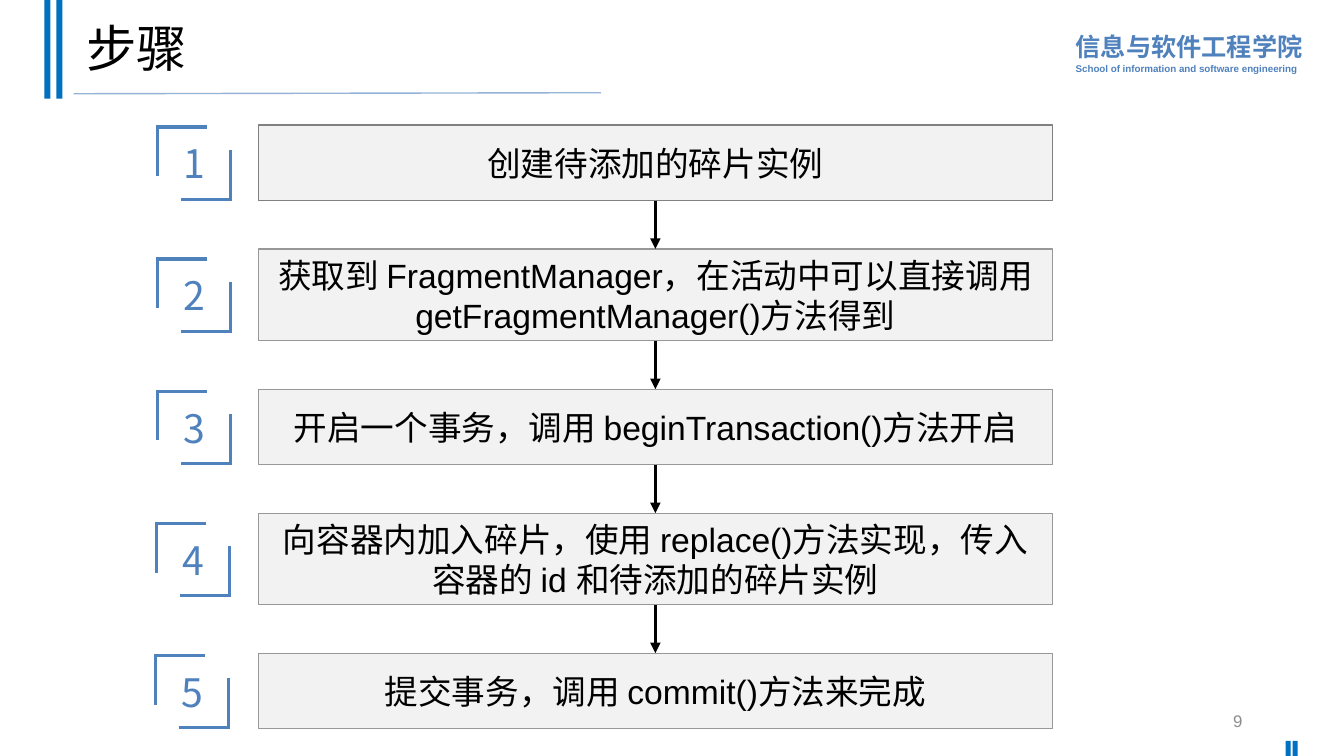
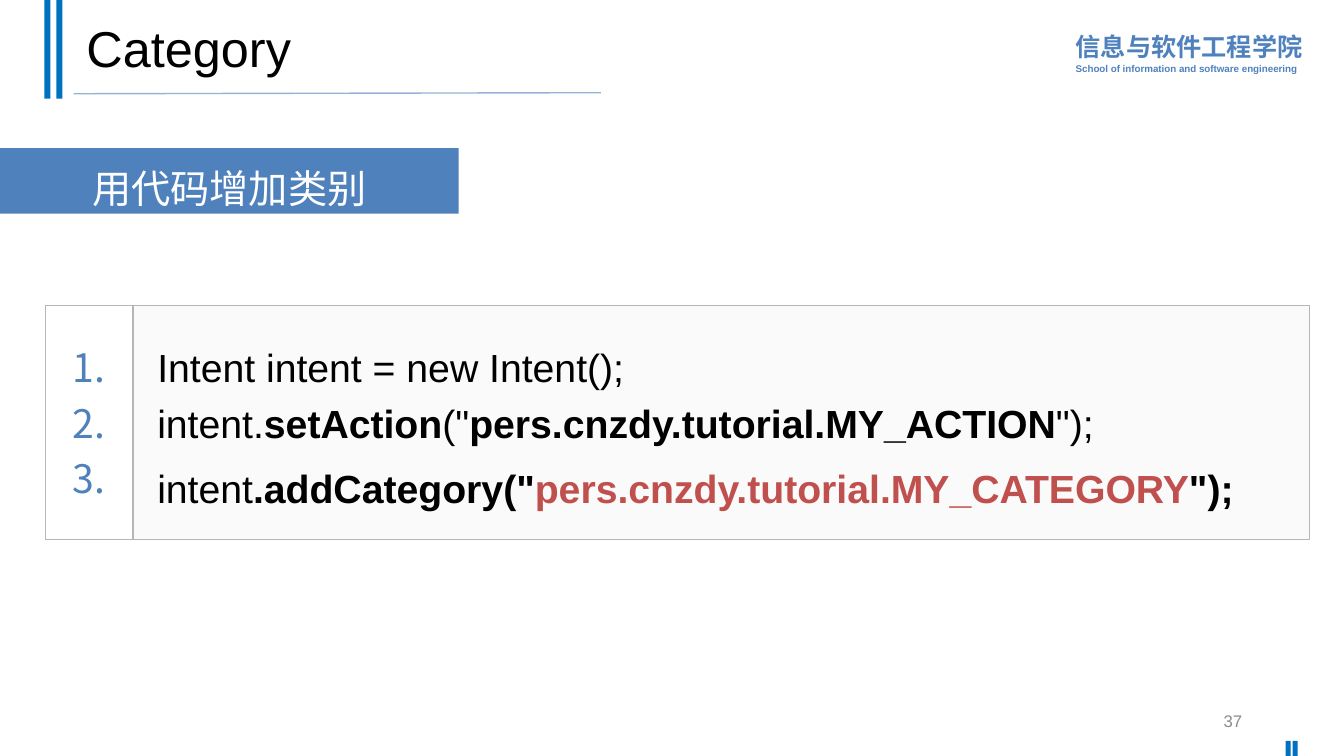
from dataclasses import dataclass

from lxml import etree
from pptx import Presentation
from pptx import util as u
from pptx.dml.color import RGBColor
from pptx.enum import lang, shapes, text
from pptx.oxml.ns import qn

COLORS = {
    "black": "000000",
    "white": "FFFFFF",
    "bar": "0070C0",
    "accent": "4F81BD",
    "rule": "95B3D7",
    "step": "F2F2F2",
    "first_edge": "808080",
    "step_edge": "989898",
    "code": "FAFAFA",
    "code_edge": "B6B6B6",
    "category": "C0504D",
    "page": "8C8C8C",
}
LATIN = "Arial"
CJK = "Noto Sans CJK SC"
ALIGN = text.PP_ALIGN
ANCHOR = text.MSO_ANCHOR


@dataclass(frozen=True)
class Box:
    left: float
    top: float
    width: float
    height: float


@dataclass(frozen=True)
class Span:
    words: str
    bold: bool = False
    color: str = "black"
    size: float = 28


@dataclass(frozen=True)
class Step:
    words: str
    height: float = 0.75
    edge: str = "step_edge"
    badge_shift: float = 0


STEPS = [
    Step("创建待添加的碎片实例", edge="first_edge"),
    Step("获取到 FragmentManager，在活动中可以直接调用 getFragmentManager()方法得到", height=0.91),
    Step("开启一个事务，调用 beginTransaction()方法开启"),
    Step("向容器内加入碎片，使用 replace()方法实现，传入容器的 id 和待添加的碎片实例",
         height=0.91, badge_shift=-0.01),
    Step("提交事务，调用 commit()方法来完成", badge_shift=-0.02),
]
STEP_LEFT, STEP_TOP, STEP_WIDTH, STEP_GAP = 2.56, 1.24, 7.88, 0.48
BADGE_LEFT, BADGE_TOP, BADGE_PITCH = 1.55, 1.25, 1.31
BADGE_WIDTH, BADGE_HEIGHT, BADGE_ARM = 0.75, 0.74, 0.5

CODE = [
    [
        Span("Intent intent = new Intent(); intent."),
        Span("setAction", bold=True),
        Span("(\""),
        Span("pers.cnzdy.tutorial.MY_ACTION", bold=True),
        Span("\");"),
    ],
    [
        Span("intent"),
        Span(".addCategory(\"", bold=True),
        Span("pers.cnzdy.tutorial.MY_CATEGORY", bold=True, color="category"),
        Span("\");", bold=True),
    ],
]


def rgb(name: str) -> RGBColor:
    return RGBColor.from_string(COLORS[name])


def write(shape, paragraphs: list[list[Span]], *, font: str = LATIN, align=ALIGN.LEFT,
          anchor=ANCHOR.MIDDLE, spacing: float = 1.0, before: float = 0,
          insets: tuple = (0.1, 0.05, 0.1, 0.05), wrap: bool = True) -> None:
    frame = shape.text_frame
    frame.word_wrap = wrap
    frame.vertical_anchor = anchor
    (frame.margin_left, frame.margin_top,
     frame.margin_right, frame.margin_bottom) = map(u.Inches, insets)
    for index, spans in enumerate(paragraphs):
        paragraph = frame.add_paragraph() if index else frame.paragraphs[0]
        paragraph.alignment = align
        paragraph.line_spacing = spacing
        paragraph.space_before = u.Pt(before if index else 0)
        for span in spans:
            run = paragraph.add_run()
            run.text = span.words
            run.font.size = u.Pt(span.size)
            run.font.bold = span.bold
            run.font.color.rgb = rgb(span.color)
            run.font.name = font
            run.font.language_id = lang.MSO_LANGUAGE_ID.SIMPLIFIED_CHINESE
            east_asian = etree.SubElement(run._r.get_or_add_rPr(), qn("a:ea"))
            east_asian.set("typeface", CJK)


def place(box: Box) -> list:
    return [u.Inches(n) for n in (box.left, box.top, box.width, box.height)]


def label(slide, box: Box, paragraphs: list[list[Span]], **form) -> None:
    write(slide.shapes.add_textbox(*place(box)), paragraphs, **form)


def panel(slide, box: Box, fill: str | None, edge: str | None = None, weight: float = 1):
    shape = slide.shapes.add_shape(shapes.MSO_SHAPE.RECTANGLE, *place(box))
    shape.shadow.inherit = False
    if fill:
        shape.fill.solid()
        shape.fill.fore_color.rgb = rgb(fill)
    else:
        shape.fill.background()
    if edge:
        shape.line.color.rgb = rgb(edge)
        shape.line.width = u.Pt(weight)
    else:
        shape.line.fill.background()
    return shape


def stroke(slide, start: tuple, end: tuple, color: str, weight: float):
    line = slide.shapes.add_connector(
        shapes.MSO_CONNECTOR.STRAIGHT, *map(u.Inches, (*start, *end)))
    line.line.color.rgb = rgb(color)
    line.line.width = u.Pt(weight)
    etree.SubElement(line._element.spPr, qn("a:effectLst"))
    return line


def join_steps(slide, upper, lower) -> None:
    arrow = stroke(slide, (0, 0), (0, 0), "black", 2.5)
    arrow.begin_connect(upper, 2)
    arrow.end_connect(lower, 0)
    head = etree.SubElement(arrow.line._get_or_add_ln(), qn("a:tailEnd"))
    head.set("type", "triangle")


def badge(slide, number: int, left: float, top: float) -> None:
    right, bottom = left + BADGE_WIDTH, top + BADGE_HEIGHT
    inset = 0.01
    for x, y, way in ((left, top, 1), (right, bottom, -1)):
        row, column = y + way * inset, x + way * inset
        stroke(slide, (x, row), (x + way * BADGE_ARM, row), "accent", 2.25)
        stroke(slide, (column, y), (column, y + way * BADGE_ARM), "accent", 2.25)
    label(slide, Box(left, top, BADGE_WIDTH, BADGE_HEIGHT),
          [[Span(str(number), color="accent")]], font=CJK, align=ALIGN.CENTER)


def start_slide(deck, title: str, page: int):
    slide = deck.slides.add_slide(deck.slide_layouts[6])
    label(slide, Box(10.57, 0.23, 2.45, 0.56), [
        [Span("信息与软件工程学院", True, "accent", 18)],
        [Span("School of information and software engineering", True, "accent", 7)],
    ], anchor=ANCHOR.TOP, spacing=1.1, insets=(0.1, 0.05, 0, 0.05))
    for left in (0.44, 0.56):
        panel(slide, Box(left, 0, 0.06, 0.98), "bar")
    stroke(slide, (0.73, 0.93), (5.96, 0.92), "rule", 1)
    for left in (12.75, 12.82):
        panel(slide, Box(left, 7.35, 0.05, 0.15), "bar")
    label(slide, Box(0.76, 0.07, 11.5, 0.88), [[Span(title, size=36)]], spacing=0.9)
    label(slide, Box(9.42, 6.95, 3, 0.4), [[Span(str(page), color="page", size=12)]],
          align=ALIGN.RIGHT)
    return slide


def steps_slide(deck) -> None:
    slide = start_slide(deck, "步骤", 9)
    top = STEP_TOP
    previous = None
    for index, step in enumerate(STEPS):
        current = panel(slide, Box(STEP_LEFT, top, STEP_WIDTH, step.height),
                        "step", step.edge, 0.75)
        write(current, [[Span(step.words, size=24)]], align=ALIGN.CENTER)
        badge(slide, index + 1, BADGE_LEFT + step.badge_shift,
              BADGE_TOP + index * BADGE_PITCH)
        if previous is not None:
            join_steps(slide, previous, current)
        previous = current
        top += step.height + STEP_GAP


def category_slide(deck) -> None:
    slide = start_slide(deck, "Category", 37)
    code = panel(slide, Box(1.32, 3.03, 11.67, 2.32), "code", "code_edge")
    write(code, CODE, spacing=1.2, before=6, insets=(0.24, 0, 0, 0))
    heading = panel(slide, Box(0, 1.47, 4.55, 0.65), "accent")
    write(heading, [[Span("用代码增加类别", color="white")]],
          align=ALIGN.CENTER, spacing=1.3)
    numbers = panel(slide, Box(0.45, 3.03, 0.87, 2.32), None, "code_edge")
    write(numbers, [[Span(f"{n}.", color="accent")] for n in (1, 2, 3)],
          font=CJK, align=ALIGN.CENTER, before=6)


def main() -> None:
    deck = Presentation()
    deck.slide_width = u.Inches(13.33)
    deck.slide_height = u.Inches(7.5)
    steps_slide(deck)
    category_slide(deck)
    deck.save("out.pptx")


if __name__ == "__main__":
    main()
